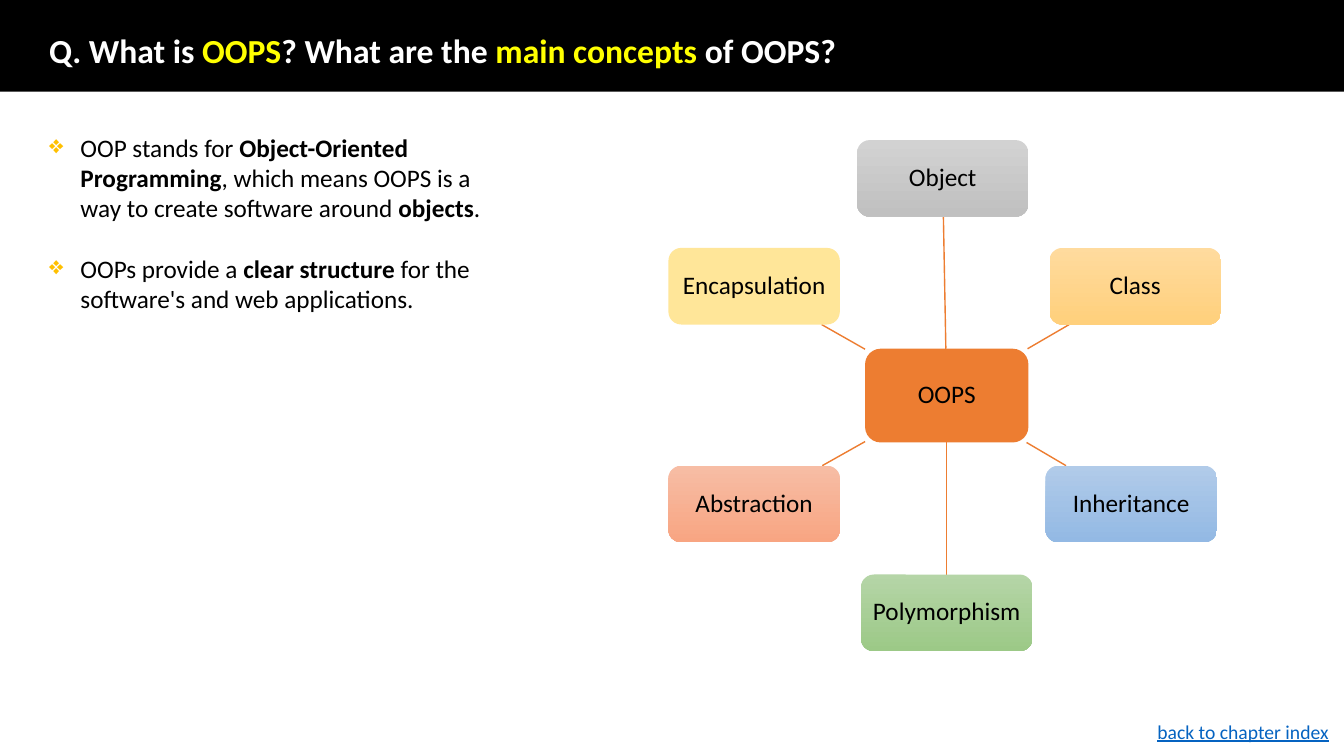
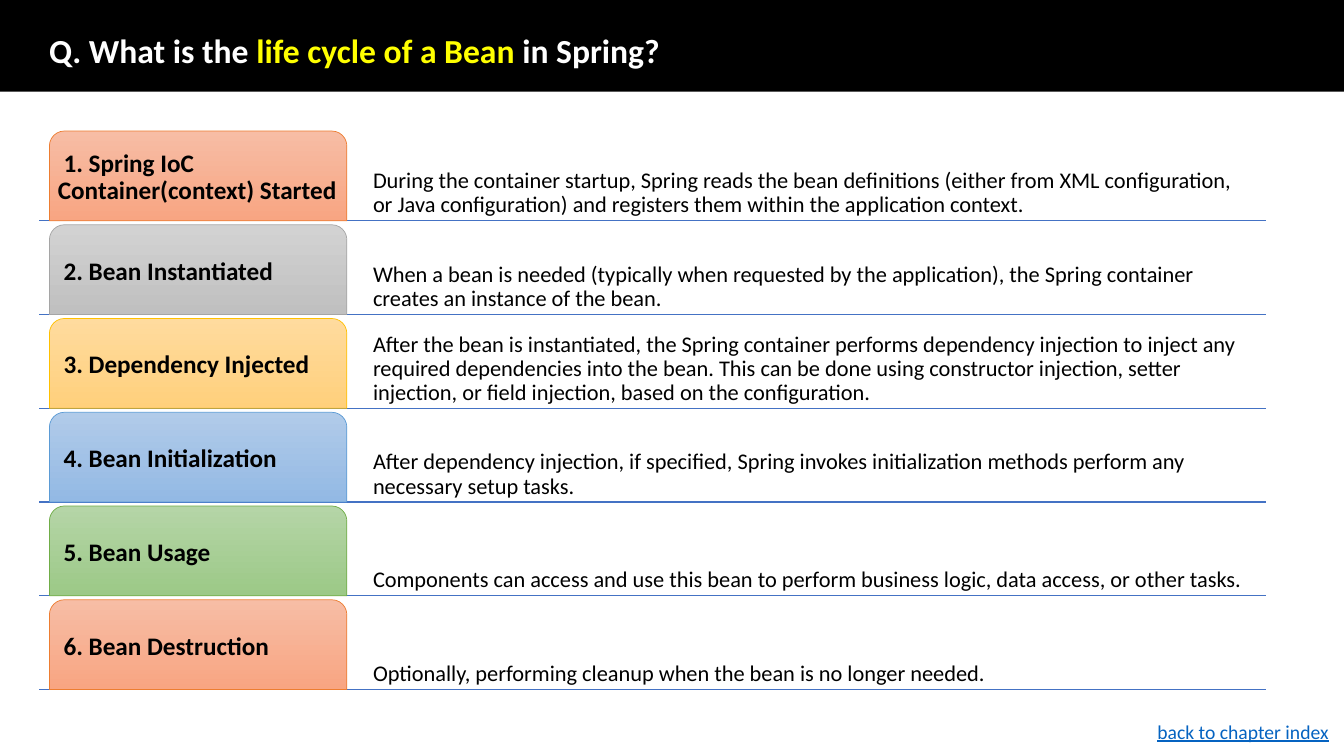
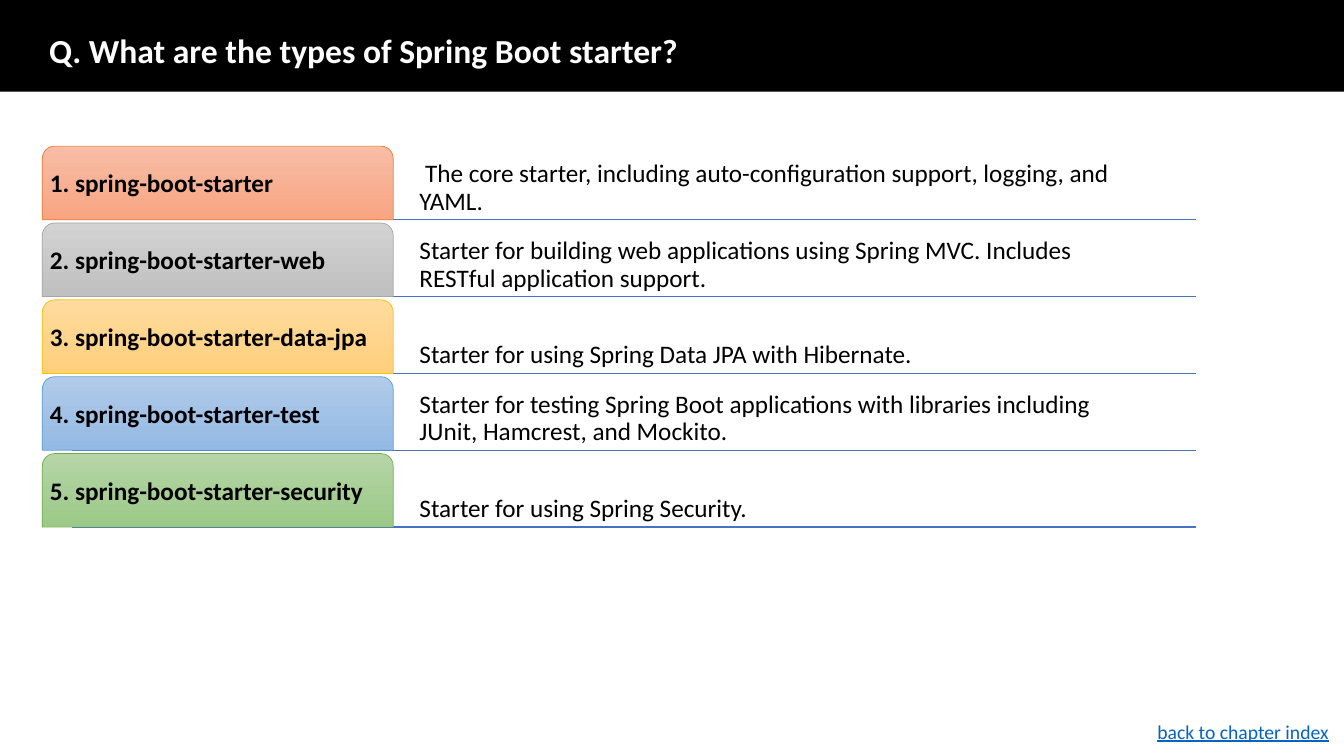
"""Build three interview-question slides on OOPS, bean life cycle and starters."""
from lxml import etree
from pptx import Presentation
from pptx.dml.color import RGBColor
from pptx.enum.shapes import MSO_CONNECTOR, MSO_SHAPE
from pptx.enum.text import MSO_ANCHOR, PP_ALIGN
from pptx.oxml.ns import qn
from pptx.util import Inches, Pt

RECTANGLE = MSO_SHAPE.RECTANGLE
ROUNDED = MSO_SHAPE.ROUNDED_RECTANGLE
TAB = MSO_SHAPE.ROUND_2_SAME_RECTANGLE
STRAIGHT = MSO_CONNECTOR.STRAIGHT
TOP, MIDDLE, BOTTOM = MSO_ANCHOR.TOP, MSO_ANCHOR.MIDDLE, MSO_ANCHOR.BOTTOM
LEFT, CENTER = PP_ALIGN.LEFT, PP_ALIGN.CENTER

FONT = "Calibri"
WIDTH, HEIGHT = 13.33, 7.5
COLORS = {
    "black": "000000", "white": "FFFFFF", "yellow": "FFFF00", "link": "0563C1",
    "bullet": "FFC000", "hub": "ED7D31", "cream": "FFE699", "rule": "4472C4",
}
GRADIENTS = {
    "orange": ("F7BDA5", "F8A582", "ED7D31"),
    "gray": ("D2D2D2", "C0C0C0", "A5A5A5"),
    "gold": ("FFDB9E", "FFD07C", "FFC000"),
    "blue": ("B1CBE9", "93B9E4", "5B9BD5"),
    "green": ("B5D5A7", "9CC987", "70AD47"),
}
TAB_ORDER = list(GRADIENTS)

OOPS_TITLE = "Q. What is *OOPS*? What are the *main concepts* of OOPS?"
OOPS_POINTS = [
    "OOP stands for *Object-Oriented Programming*, which means OOPS is a way to "
    "create software around *objects*.",
    "OOPs provide a *clear structure* for the software's and web applications.",
]
HUB = ("OOPS", 9.39, 3.925, "hub")
HUB_SIZE = (1.62, 0.93)
CONCEPTS = [
    ("Object", 9.35, 1.77, "gray"),
    ("Class", 11.26, 2.84, "gold"),
    ("Inheritance", 11.22, 5.0, "blue"),
    ("Polymorphism", 9.39, 6.08, "green"),
    ("Abstraction", 7.48, 5.0, "orange"),
    ("Encapsulation", 7.48, 2.84, "cream"),
]
CONCEPT_SIZE = (1.7, 0.76)

STEP_SLIDES = [
    {
        "title": "Q. What is the *life cycle of a Bean* in Spring?",
        "steps": [
            (" 1. Spring IoC Container(context) Started",
             "During the container startup, Spring reads the bean definitions (either "
             "from XML configuration, or Java configuration) and registers them within "
             "the application context."),
            (" 2. Bean Instantiated",
             "When a bean is needed (typically when requested by the application), the "
             "Spring container creates an instance of the bean."),
            (" 3. Dependency Injected",
             "After the bean is instantiated, the Spring container performs dependency "
             "injection to inject any required dependencies into the bean. This can be "
             "done using constructor injection, setter injection, or field injection, "
             "based on the configuration."),
            (" 4. Bean Initialization",
             "After dependency injection, if specified, Spring invokes initialization "
             "methods perform any necessary setup tasks."),
            (" 5. Bean Usage",
             "Components can access and use this bean to perform business logic, data "
             "access, or other tasks."),
            (" 6. Bean Destruction",
             "Optionally, performing cleanup when the bean is no longer needed."),
        ],
        "tops": (1.3, 5.95), "height": 0.89, "tab": (0.49, 2.95),
        "detail": (3.67, 8.77), "rule": (0.39, 12.56), "size": 16, "inset": 0.03,
    },
    {
        "title": "Q. What are the types of Spring Boot starter?",
        "steps": [
            ("1. spring-boot-starter",
             " The core starter, including auto-configuration support, logging, and YAML."),
            ("2. spring-boot-starter-web",
             "Starter for building web applications using Spring MVC. Includes RESTful "
             "application support."),
            ("3. spring-boot-starter-data-jpa",
             "Starter for using Spring Data JPA with Hibernate."),
            ("4. spring-boot-starter-test",
             "Starter for testing Spring Boot applications with libraries including "
             "JUnit, Hamcrest, and Mockito."),
            ("5. spring-boot-starter-security",
             "Starter for using Spring Security."),
        ],
        "tops": (1.45, 4.5), "height": 0.73, "tab": (0.42, 3.48),
        "detail": (4.12, 7.22), "rule": (0.71, 11.86), "size": 18, "inset": 0.04,
    },
]


def rgb(name):
    return RGBColor.from_string(COLORS[name])


def add_runs(paragraph, text, size, color="black", bold=False, accent=None):
    """Write text into a paragraph, with the parts between asterisks emphasised."""
    for index, part in enumerate(text.split("*")):
        marked = index % 2 == 1
        run = paragraph.add_run()
        run.text = part
        run.font.name = FONT
        run.font.size = Pt(size)
        run.font.bold = bold or marked
        run.font.color.rgb = rgb(accent if marked and accent else color)


def set_frame(shape, anchor, inset=None):
    frame = shape.text_frame
    frame.word_wrap = True
    frame.vertical_anchor = anchor
    if inset is not None:
        frame.margin_left = frame.margin_right = Inches(inset)
        frame.margin_top = frame.margin_bottom = Inches(inset)
    return frame


def add_text(slide, box, text, size, anchor=TOP, inset=None, spacing=1.0, **style):
    shape = slide.shapes.add_textbox(*map(Inches, box))
    paragraph = set_frame(shape, anchor, inset).paragraphs[0]
    paragraph.line_spacing = spacing
    add_runs(paragraph, text, size, **style)
    return paragraph


def add_block(slide, kind, box, fill, outline=None):
    shape = slide.shapes.add_shape(kind, *map(Inches, box))
    shape.shadow.inherit = False
    if fill in GRADIENTS:
        shape.fill.gradient()
        shape.fill.gradient_angle = 270
        for stop, color in zip(shape.fill.gradient_stops, GRADIENTS[fill]):
            stop.color.rgb = RGBColor.from_string(color)
    else:
        shape.fill.solid()
        shape.fill.fore_color.rgb = rgb(fill)
    if outline:
        shape.line.color.rgb = RGBColor.from_string(outline)
        shape.line.width = Pt(0.5)
    else:
        shape.line.fill.background()
    return shape


def label_block(shape, text, inset, align, bold=False):
    paragraph = set_frame(shape, MIDDLE, inset).paragraphs[0]
    paragraph.alignment = align
    paragraph.line_spacing = 0.9
    add_runs(paragraph, text, 18, bold=bold)


def add_line(slide, start, end, color):
    line = slide.shapes.add_connector(STRAIGHT, *map(Inches, (*start, *end)))
    line.line.color.rgb = rgb(color)
    line.line.width = Pt(1)
    etree.SubElement(line._element.spPr, qn("a:effectLst"))


def add_question_slide(presentation, title):
    slide = presentation.slides.add_slide(presentation.slide_layouts[6])
    add_block(slide, RECTANGLE, (0, 0, WIDTH, 0.91), "black")
    add_text(slide, (0.39, 0.35, 11.7, 0.35), title, 24, MIDDLE, spacing=0.9,
             color="white", bold=True, accent="yellow")
    link = add_text(slide, (11.38, 7.09, 1.95, 0.34), "back to chapter index", 14,
                    color="link")
    link.runs[0].font.underline = True
    return slide


def add_bullets(slide, box, points):
    frame = set_frame(slide.shapes.add_textbox(*map(Inches, box)), TOP)
    for index, point in enumerate(points):
        paragraph = frame.add_paragraph() if index else frame.paragraphs[0]
        properties = paragraph._p.get_or_add_pPr()
        properties.set("marL", str(Inches(0.31)))
        properties.set("indent", str(-Inches(0.31)))
        color = etree.SubElement(properties, qn("a:buClr"))
        etree.SubElement(color, qn("a:srgbClr"), val=COLORS["bullet"])
        etree.SubElement(properties, qn("a:buChar"), char="❖")
        if index:
            paragraph.space_before = Pt(22)
        add_runs(paragraph, point, 18)


def edge_point(center, size, target):
    """Return where the ray from a box centre to a target leaves the box."""
    offsets = [end - start for start, end in zip(center, target)]
    share = min(side / 2 / abs(offset) for side, offset in zip(size, offsets) if offset)
    return [start + share * offset for start, offset in zip(center, offsets)]


def add_node(slide, node, size):
    name, x, y, fill = node
    box = (x - size[0] / 2, y - size[1] / 2, *size)
    label_block(add_block(slide, ROUNDED, box, fill), name, 0.05, CENTER)


def add_concept_map(slide):
    hub_center = HUB[1:3]
    add_node(slide, HUB, HUB_SIZE)
    for concept in CONCEPTS:
        center = concept[1:3]
        add_line(slide, edge_point(hub_center, HUB_SIZE, center),
                 edge_point(center, CONCEPT_SIZE, hub_center), "hub")
        add_node(slide, concept, CONCEPT_SIZE)


def add_steps(slide, layout):
    steps, height = layout["steps"], layout["height"]
    first, last = layout["tops"]
    pitch = (last - first) / (len(steps) - 1)
    tab_left, tab_width = layout["tab"]
    detail_left, detail_width = layout["detail"]
    rule_start, rule_end = layout["rule"]
    for index, (name, detail) in enumerate(steps):
        top = first + index * pitch
        fill = TAB_ORDER[index % len(TAB_ORDER)]
        add_line(slide, (rule_start, top + height), (rule_end, top + height), "rule")
        add_text(slide, (detail_left, top, detail_width, height), detail,
                 layout["size"], BOTTOM, layout["inset"], 0.9)
        tab = add_block(slide, TAB, (tab_left, top, tab_width, height), fill,
                        GRADIENTS[fill][2])
        label_block(tab, name, 0.04, LEFT, bold=True)


def main():
    presentation = Presentation()
    presentation.slide_width = Inches(WIDTH)
    presentation.slide_height = Inches(HEIGHT)
    oops_slide = add_question_slide(presentation, OOPS_TITLE)
    add_bullets(oops_slide, (0.39, 1.26, 4.66, 1.92), OOPS_POINTS)
    add_concept_map(oops_slide)
    for layout in STEP_SLIDES:
        add_steps(add_question_slide(presentation, layout["title"]), layout)
    presentation.save("out.pptx")


if __name__ == "__main__":
    main()
